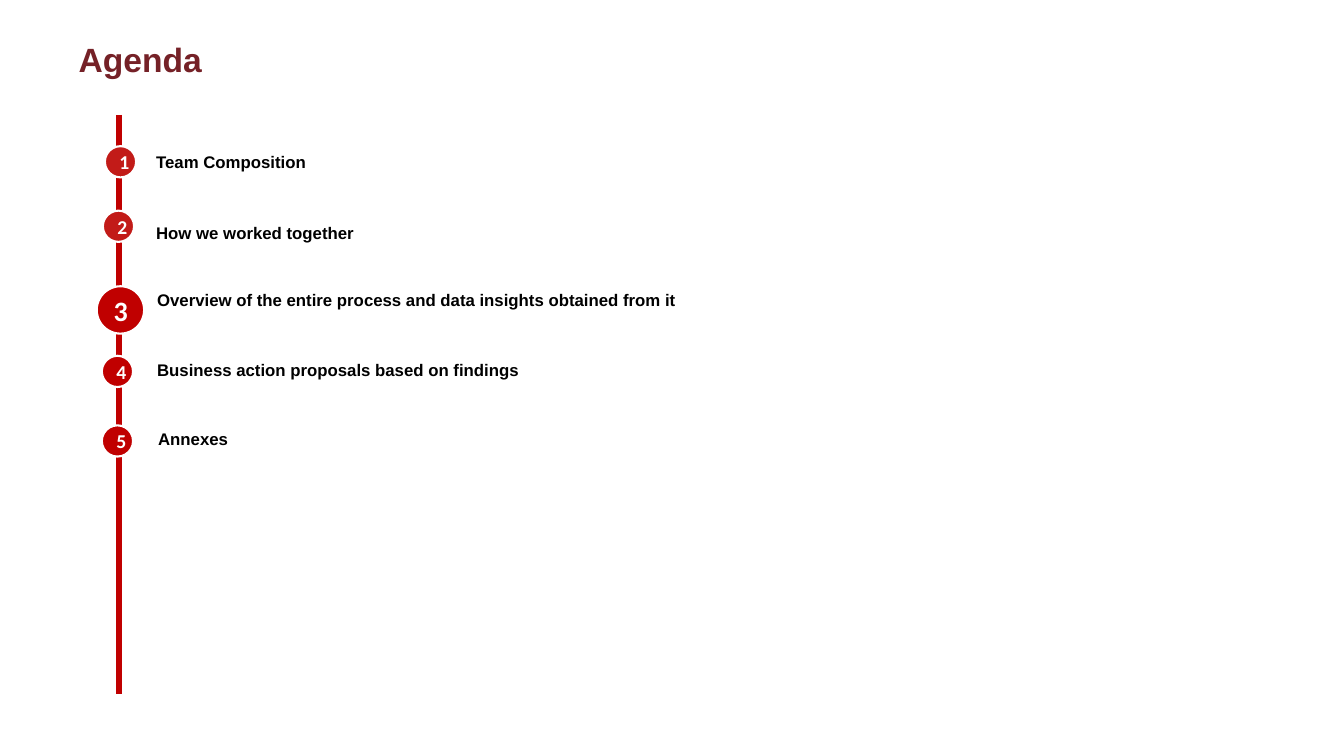
from pptx import Presentation
from pptx.dml.color import RGBColor
from pptx.enum.shapes import MSO_CONNECTOR, MSO_SHAPE
from pptx.enum.text import MSO_ANCHOR, MSO_AUTO_SIZE, PP_ALIGN
from pptx.oxml.ns import qn
from pptx.util import Inches, Pt
from lxml import etree

COLORS = {
    "title": "752127",
    "red": "C00000",
    "bright_red": "C21B18",
    "white": "FFFFFF",
    "black": "000000",
}

AGENDA = [
    ("Team Composition", 1.45, 1.46, 0.3, 1.04, 1.45, "bright_red"),
    ("How we worked together", 1.45, 2.16, 0.3, 1.02, 2.09, "bright_red"),
    ("Overview of the entire process and data insights obtained from it",
     1.46, 2.83, 0.3, 0.96, 2.84, "red"),
    ("Business action proposals based on findings", 1.46, 3.52, 0.5, 1.01, 3.53, "red"),
    ("Annexes", 1.47, 4.2, 0.3, 1.01, 4.22, "red"),
]
CURRENT_ITEM = 3


def color(name):
    return RGBColor.from_string(COLORS[name])


def style_font(paragraph, name, size, color_name):
    font = paragraph.font
    font.name = name
    font.size = Pt(size)
    font.bold = True
    font.color.rgb = color(color_name)


def set_title(slide, text):
    title = slide.shapes.title
    title.left, title.top = Inches(0.78), Inches(0.5)
    title.width, title.height = Inches(7.83), Inches(0.33)
    frame = title.text_frame
    frame.text = text
    frame.auto_size = MSO_AUTO_SIZE.NONE
    frame.vertical_anchor = MSO_ANCHOR.TOP
    frame.margin_left = frame.margin_right = 0
    frame.margin_top = frame.margin_bottom = 0
    paragraph = frame.paragraphs[0]
    paragraph.alignment = PP_ALIGN.LEFT
    paragraph.line_spacing = Pt(20.3)
    style_font(paragraph, "Arial", 24, "title")


def add_timeline(slide):
    line = slide.shapes.add_connector(
        MSO_CONNECTOR.STRAIGHT, Inches(1.18), Inches(1.14), Inches(1.18), Inches(6.89))
    line.line.color.rgb = color("red")
    line.line.width = Pt(4.5)
    etree.SubElement(line._element.spPr, qn("a:effectLst"))


def add_marker(slide, number, left, top, fill):
    diameter, size = (0.47, 20) if number == CURRENT_ITEM else (0.31, 14)
    marker = slide.shapes.add_shape(
        MSO_SHAPE.OVAL, Inches(left), Inches(top), Inches(diameter), Inches(diameter))
    marker.shadow.inherit = False
    marker.fill.solid()
    marker.fill.fore_color.rgb = color(fill)
    marker.line.color.rgb = color("white")
    marker.line.width = Pt(1.5)
    frame = marker.text_frame
    frame.text = str(number)
    frame.vertical_anchor = MSO_ANCHOR.MIDDLE
    paragraph = frame.paragraphs[0]
    paragraph.alignment = PP_ALIGN.CENTER
    style_font(paragraph, "Calibri", size, "white")


def add_label(slide, text, left, top, height):
    label = slide.shapes.add_textbox(
        Inches(left), Inches(top), Inches(6.29), Inches(height))
    frame = label.text_frame
    frame.word_wrap = True
    frame.text = text
    style_font(frame.paragraphs[0], "Arial", 12, "black")


def main():
    presentation = Presentation()
    presentation.slide_width = Inches(13.33)
    presentation.slide_height = Inches(7.5)
    slide = presentation.slides.add_slide(presentation.slide_layouts[5])
    set_title(slide, "Agenda")
    add_timeline(slide)
    for number, item in enumerate(AGENDA, start=1):
        text, label_left, label_top, height, marker_left, marker_top, fill = item
        add_marker(slide, number, marker_left, marker_top, fill)
        add_label(slide, text, label_left, label_top, height)
    presentation.save("out.pptx")


if __name__ == "__main__":
    main()
